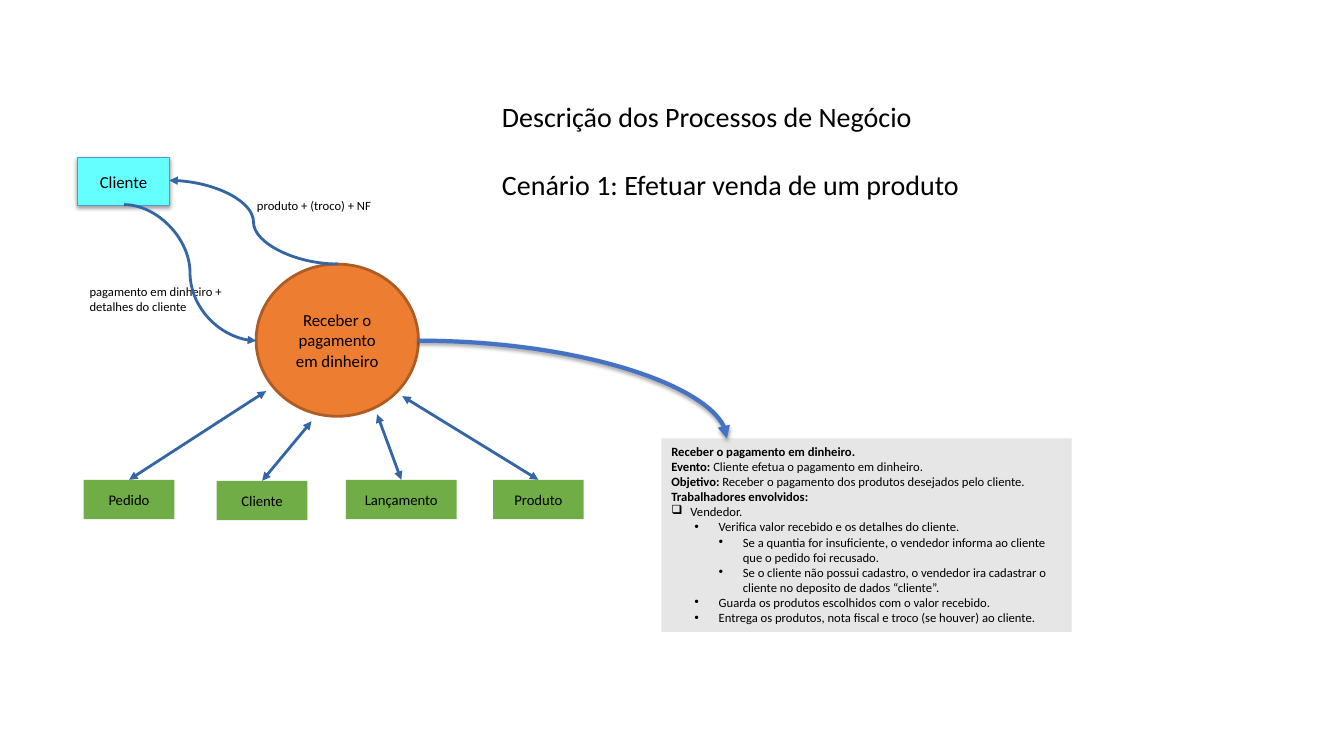
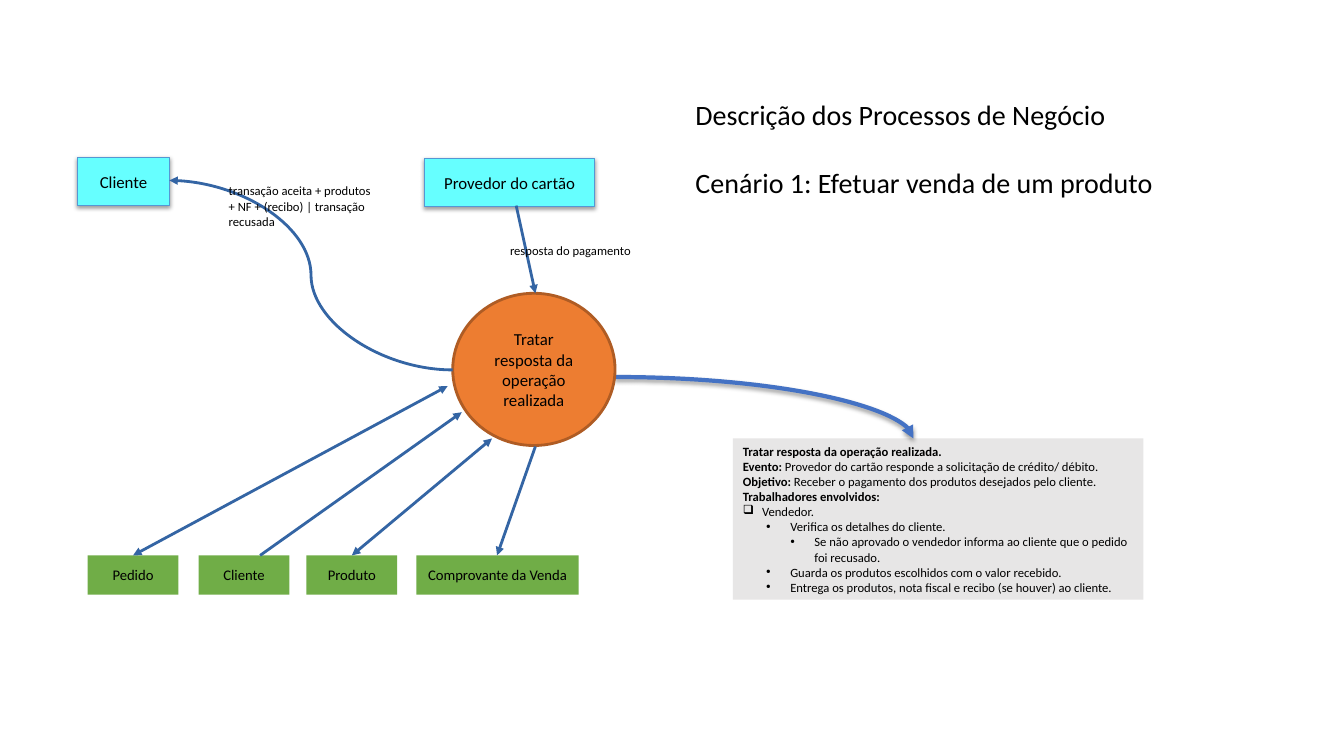
from dataclasses import dataclass

from lxml import etree
from pptx import Presentation
from pptx.dml.color import RGBColor
from pptx.enum.shapes import MSO_CONNECTOR, MSO_SHAPE
from pptx.enum.text import MSO_ANCHOR, PP_ALIGN
from pptx.oxml.ns import qn
from pptx.util import Inches, Pt

RECTANGLE, ELLIPSE = MSO_SHAPE.RECTANGLE, MSO_SHAPE.OVAL
STRAIGHT, CURVE = MSO_CONNECTOR.STRAIGHT, MSO_CONNECTOR.CURVE
LEFT, CENTER = PP_ALIGN.LEFT, PP_ALIGN.CENTER
TOP, MIDDLE = MSO_ANCHOR.TOP, MSO_ANCHOR.MIDDLE


@dataclass(frozen=True)
class Theme:
    font: str = "Calibri"
    ink: str = "000000"
    process: str = "ED7D31"
    process_line: str = "AF5C24"
    actor: str = "66FFFF"
    actor_line: str = "5597D3"
    store: str = "70AD47"
    panel: str = "E7E6E6"
    flow: str = "3465A4"
    callout: str = "4472C4"
    title_size: float = 20
    node_size: float = 12
    store_size: float = 10.5
    note_size: float = 9
    title_gap: float = 24.4


TITLE = ("Descrição dos Processos de Negócio", "Cenário 1: Efetuar venda de um produto")
GOAL = "Receber o pagamento dos produtos desejados pelo cliente."
BULLETS = (("❑", 100, 0.19, -0.19), ("●", 45, 0.47, -0.24), ("●", 45, 0.71, -0.24))


class ProcessDeck:
    def __init__(self, theme):
        self.theme = theme
        self.deck = Presentation()
        self.deck.slide_width, self.deck.slide_height = Inches(13.33), Inches(7.5)
        self.page = None

    def new_page(self):
        self.page = self.deck.slides.add_slide(self.deck.slide_layouts[6])

    def style(self, para, size, align=LEFT):
        para.alignment = align
        para.font.name = self.theme.font
        para.font.size = Pt(size)
        para.font.color.rgb = RGBColor.from_string(self.theme.ink)

    def fill_text(self, frame, lines, size, align=LEFT, anchor=TOP):
        frame.word_wrap = True
        frame.vertical_anchor = anchor
        for index, line in enumerate(lines):
            para = frame.add_paragraph() if index else frame.paragraphs[0]
            para.text = line
            self.style(para, size, align)

    def set_effect(self, properties, distance=None):
        effects = etree.SubElement(properties, qn("a:effectLst"))
        if distance:
            shadow = etree.SubElement(effects, qn("a:outerShdw"), blurRad=str(Pt(3.1)),
                                      dist=str(Pt(distance)), dir="5400000", rotWithShape="0")
            color = etree.SubElement(shadow, qn("a:srgbClr"), val=self.theme.ink)
            etree.SubElement(color, qn("a:alpha"), val="38000")

    def shape(self, kind, bounds, fill, line=None, line_width=0, shadow=None):
        box = self.page.shapes.add_shape(kind, *map(Inches, bounds))
        box.fill.solid()
        box.fill.fore_color.rgb = RGBColor.from_string(fill)
        if line:
            box.line.color.rgb = RGBColor.from_string(line)
            box.line.width = Pt(line_width)
        else:
            box.line.fill.background()
        self.set_effect(box.element.spPr, shadow)
        return box

    def process(self, left, top, name):
        box = self.shape(ELLIPSE, (left, top, 1.61, 1.51), self.theme.process,
                         self.theme.process_line, 2)
        self.fill_text(box.text_frame, [name], self.theme.node_size, CENTER, MIDDLE)

    def actor(self, left, top, width, name):
        box = self.shape(RECTANGLE, (left, top, width, 0.48), self.theme.actor,
                         self.theme.actor_line, 0.75, shadow=1.6)
        self.fill_text(box.text_frame, [name], self.theme.node_size, CENTER, MIDDLE)

    def stores(self, top, items):
        for left, width, name in items:
            box = self.shape(RECTANGLE, (left, top, width, 0.39), self.theme.store)
            self.fill_text(box.text_frame, [name], self.theme.store_size, CENTER, MIDDLE)

    def text(self, bounds, lines, size):
        box = self.page.shapes.add_textbox(*map(Inches, bounds))
        self.fill_text(box.text_frame, lines, size)
        return box

    def title(self, left, top):
        box = self.text((left, top, 5.57, 1.11), TITLE, self.theme.title_size)
        box.text_frame.paragraphs[1].space_before = Pt(self.theme.title_gap)

    def label(self, left, top, width, height, text):
        self.text((left, top, width, height), [text], self.theme.note_size)

    def bullet(self, para, level):
        symbol, percent, margin, indent = BULLETS[level]
        para.level = level
        properties = para._p.get_or_add_pPr()
        properties.set("marL", str(Inches(margin)))
        properties.set("indent", str(Inches(indent)))
        color = etree.SubElement(properties, qn("a:buClr"))
        etree.SubElement(color, qn("a:srgbClr"), val=self.theme.ink)
        etree.SubElement(properties, qn("a:buSzPct"), val=str(percent * 1000))
        etree.SubElement(properties, qn("a:buChar"), char=symbol)

    def description(self, left, height, name, event, steps):
        box = self.shape(RECTANGLE, (left, 4.35, 4.07, height), self.theme.panel)
        frame = box.text_frame
        frame.word_wrap = True
        frame.vertical_anchor = TOP
        lines = [(None, name, ""), (None, "Evento:", " " + event),
                 (None, "Objetivo: ", GOAL), (None, "Trabalhadores envolvidos:", ""),
                 (0, "", "Vendedor.")]
        lines += [(level, "", step) for level, step in steps]
        for index, (level, heading, body) in enumerate(lines):
            para = frame.add_paragraph() if index else frame.paragraphs[0]
            if level is not None:
                self.bullet(para, level)
            self.style(para, self.theme.note_size)
            for content, bold in ((heading, True), (body, False)):
                if content:
                    span = para.add_run()
                    span.text = content
                    span.font.bold = bold

    def connector(self, kind, start, end, color, width, both=False, shadow=None):
        link = self.page.shapes.add_connector(kind, *map(Inches, start + end))
        link.line.color.rgb = RGBColor.from_string(color)
        link.line.width = Pt(width)
        outline = link.element.spPr.find(qn("a:ln"))
        for tag in ("a:headEnd", "a:tailEnd") if both else ("a:tailEnd",):
            etree.SubElement(outline, qn(tag), type="triangle")
        self.set_effect(link.element.spPr, shadow)
        return link

    def flow(self, start, end, kind=STRAIGHT, both=False):
        self.connector(kind, start, end, self.theme.flow, 0, both)

    def callout(self, start, end):
        link = self.connector(CURVE, start, end, self.theme.callout, 3, shadow=1.8)
        link.element.spPr.find(qn("a:prstGeom")).set("prst", "curvedConnector2")


def cash_page(deck):
    deck.new_page()
    deck.process(2.54, 2.62, "Receber o pagamento em dinheiro")
    deck.actor(0.77, 1.56, 0.91, "Cliente")
    deck.label(2.45, 1.91, 1.49, 0.25, "produto + (troco) + NF")
    deck.label(0.79, 2.77, 1.61, 0.4, "pagamento em dinheiro + detalhes do cliente")
    deck.description(
        6.56, 1.92, "Receber o pagamento em dinheiro.",
        "Cliente efetua o pagamento em dinheiro.",
        [(1, "Verifica valor recebido e os detalhes do cliente."),
         (2, "Se a quantia for insuficiente, o vendedor informa ao cliente "
             "que o pedido foi recusado."),
         (2, "Se o cliente não possui cadastro, o vendedor ira cadastrar o cliente "
             "no deposito de dados “cliente”."),
         (1, "Guarda os produtos escolhidos com o valor recebido."),
         (1, "Entrega os produtos, nota fiscal e troco (se houver) ao cliente.")])
    deck.callout((4.15, 3.38), (7.21, 4.35))
    deck.stores(4.76, [(0.83, 0.9, "Pedido"), (3.43, 1.1, "Lançamento"),
                       (4.89, 0.9, "Produto")])
    deck.stores(4.77, [(2.15, 0.9, "Cliente")])
    deck.flow((1.23, 2.03), (2.54, 3.38), CURVE)
    deck.flow((3.35, 2.62), (1.68, 1.79), CURVE)
    for start, end in (((2.64, 3.88), (1.28, 4.76)), ((3.09, 4.18), (2.6, 4.77)),
                       ((3.74, 4.11), (3.98, 4.76)), ((3.99, 3.93), (5.34, 4.76))):
        deck.flow(start, end, both=True)
    deck.title(4.88, 0.94)


def card_page(deck):
    deck.new_page()
    deck.actor(0.77, 1.56, 0.91, "Cliente")
    deck.actor(4.21, 1.57, 1.69, "Provedor do cartão")
    deck.description(
        7.27, 1.6, "Tratar resposta da operação realizada.",
        "Provedor do cartão responde a solicitação de crédito/ débito.",
        [(1, "Verifica os detalhes do cliente."),
         (2, "Se não aprovado o vendedor informa ao cliente que o pedido foi recusado."),
         (1, "Guarda os produtos escolhidos com o valor recebido."),
         (1, "Entrega os produtos, nota fiscal e recibo (se houver) ao cliente.")])
    deck.callout((6.1, 3.74), (9.06, 4.35))
    deck.process(4.49, 2.91, "Tratar resposta da operação realizada")
    deck.stores(5.51, [(0.87, 0.9, "Pedido"), (1.97, 0.9, "Cliente"),
                       (3.04, 0.9, "Produto"), (4.13, 1.61, "Comprovante da Venda")])
    for start, end, both in (((4.88, 4.35), (3.49, 5.51), True),
                             ((1.32, 5.51), (4.44, 3.83), True),
                             ((5.12, 2.04), (5.31, 2.91), False),
                             ((2.58, 5.51), (4.58, 4.09), False),
                             ((5.31, 4.43), (4.93, 5.51), False)):
        deck.flow(start, end, both=both)
    deck.flow((4.49, 3.67), (1.68, 1.79), CURVE)
    deck.label(4.96, 2.36, 1.61, 0.25, "resposta do pagamento")
    deck.label(2.17, 1.77, 1.61, 0.55,
               "transação aceita + produtos + NF + (recibo) | transação recusada")
    deck.title(6.8, 0.92)


def main():
    deck = ProcessDeck(Theme())
    cash_page(deck)
    card_page(deck)
    deck.deck.save("out.pptx")


if __name__ == "__main__":
    main()
